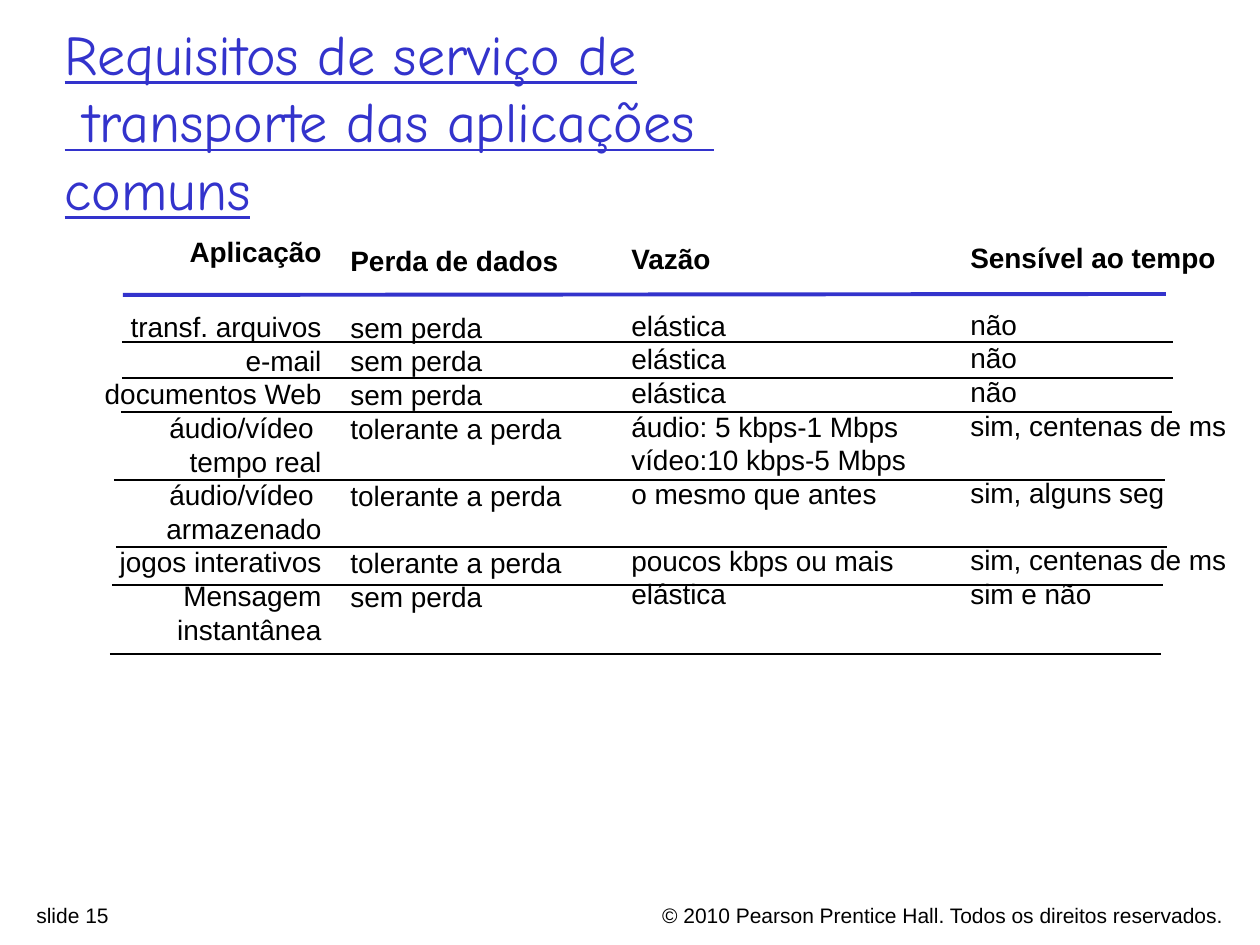
from dataclasses import dataclass
from lxml.etree import SubElement as Sub
from pptx import Presentation as Deck
from pptx.dml.color import RGBColor as Color
from pptx.enum.shapes import MSO_CONNECTOR as Link
from pptx.enum.text import MSO_ANCHOR as Anchor, MSO_AUTO_SIZE as Fit, PP_ALIGN as Align
from pptx.oxml.ns import qn
from pptx.util import Pt


@dataclass
class Theme:
    blue: Color = Color(0x33, 0x33, 0xCC)
    black: Color = Color(0, 0, 0)
    head: str = "Comic Neue"
    body: str = "Arial"
    big: int = 32
    mid: int = 16
    small: int = 12
    lead: float = 1.2


look = Theme()
PX = 914400 / 126


def px(*nums):
    return [round(n * PX) for n in nums]


def write(shape, lines, size=look.mid, font=look.body, color=look.black, align=Align.LEFT,
          wrap=True, top=False, under=False, blank=look.mid * look.lead):
    frame = shape.text_frame
    frame.word_wrap = wrap
    frame.auto_size = Fit.NONE
    gap = 0
    for i, line in enumerate(lines):
        if line is None:
            gap += blank
            continue
        para = frame.add_paragraph() if i else frame.paragraphs[0]
        para.text = line
        para.alignment = align
        para.line_spacing = Pt(size * look.lead)
        para.space_before = Pt(gap)
        gap = 0
        for run in para.runs:
            run.font.size = Pt(size)
            run.font.name = font
            run.font.color.rgb = color
            run.font.bold = top and i == 0
            run.font.underline = under


deck = Deck()
deck.slide_width, deck.slide_height = px(1260, 945)
slide = deck.slides.add_slide(deck.slide_layouts[5])
shapes = slide.shapes

title = shapes.title
title.left, title.top, title.width, title.height = px(52, 42, 1130, 157)
title.text_frame.vertical_anchor = Anchor.MIDDLE
write(title, ["Requisitos de serviço de\v transporte das aplicações \vcomuns"],
      size=look.big, font=look.head, color=look.blue, under=True)

notes = [
    ((592, 896, 644, 30), "© 2010 Pearson Prentice Hall. Todos os direitos reservados.", Align.RIGHT),
    ((24, 896, 444, 30), "slide 15", Align.LEFT),
]
for area, line, side in notes:
    write(shapes.add_textbox(*px(*area)), [line], size=look.small, align=side)

apps = ["Aplicação", None, "transf. arquivos", "e-mail", "documentos Web", "áudio/vídeo ",
        "tempo real", "áudio/vídeo ", "armazenado", "jogos interativos", "Mensagem", "instantânea"]
write(shapes.add_textbox(*px(92, 228, 242, 425)), apps,
      align=Align.RIGHT, wrap=False, top=True, blank=24)

cols = [
    ((338, 237, 310, 382),
     ["Perda de dados", None, "sem perda", "sem perda", "sem perda", "tolerante a perda", None,
      "tolerante a perda", None, "tolerante a perda", "sem perda"]),
    ((619, 235, 355, 382),
     ["Vazão", None, "elástica", "elástica", "elástica", "áudio: 5 kbps-1 Mbps",
      "vídeo:10 kbps-5 Mbps", "o mesmo que antes", None, "poucos kbps ou mais", "elástica"]),
    ((958, 234, 368, 382),
     ["Sensível ao tempo", None, "não", "não", "não", "sim, centenas de ms", None,
      "sim, alguns seg", None, "sim, centenas de ms", "sim e não"]),
]
for area, lines in cols:
    write(shapes.add_textbox(*px(*area)), lines, top=True)

rules = [(123, 295, 1166, 294, look.blue, 2.25)]
rows = [(122, 342), (122, 378), (121, 412), (114, 480), (116, 547), (112, 585), (110, 654)]
rules += [(x, y, x + 1051, y, look.black, 1) for x, y in rows]
for *ends, color, width in rules:
    rule = shapes.add_connector(Link.STRAIGHT, *px(*ends))
    rule.line.color.rgb = color
    rule.line.width = Pt(width)
    Sub(rule.element.spPr, qn("a:effectLst"))

deck.save("out.pptx")
